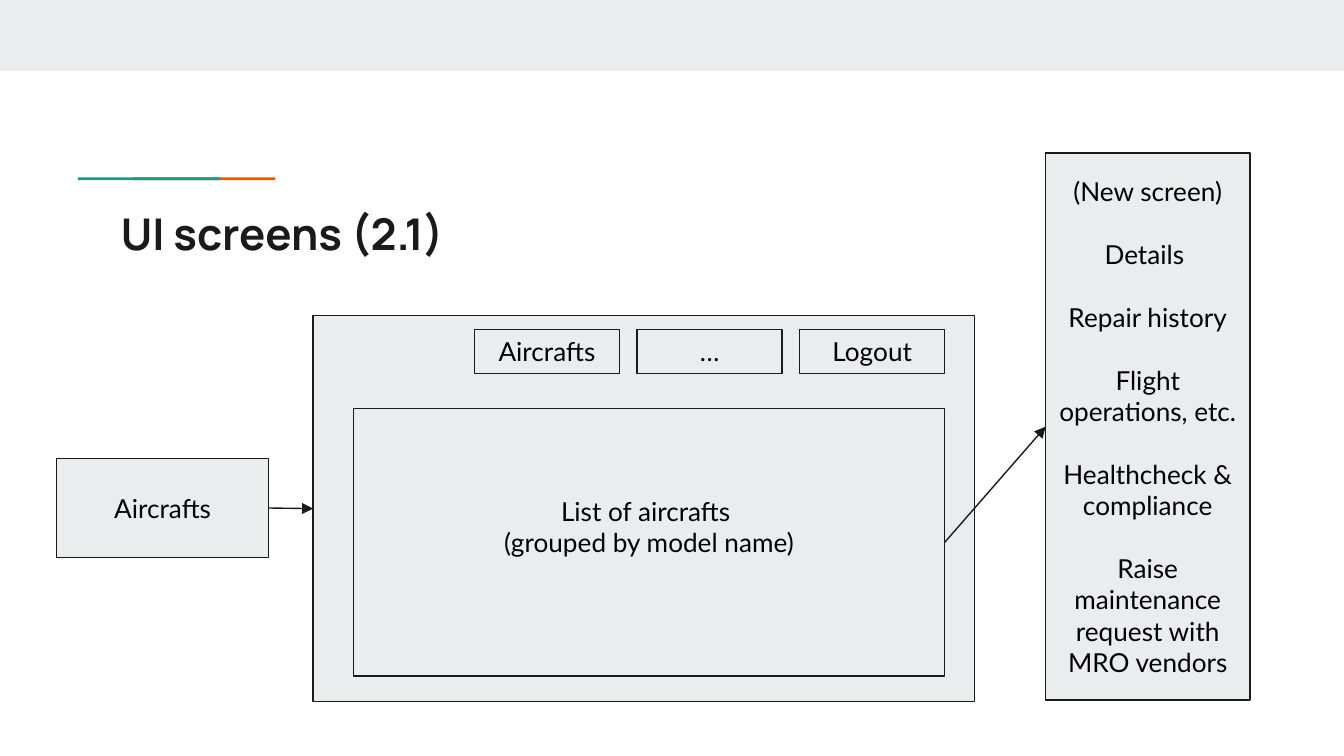
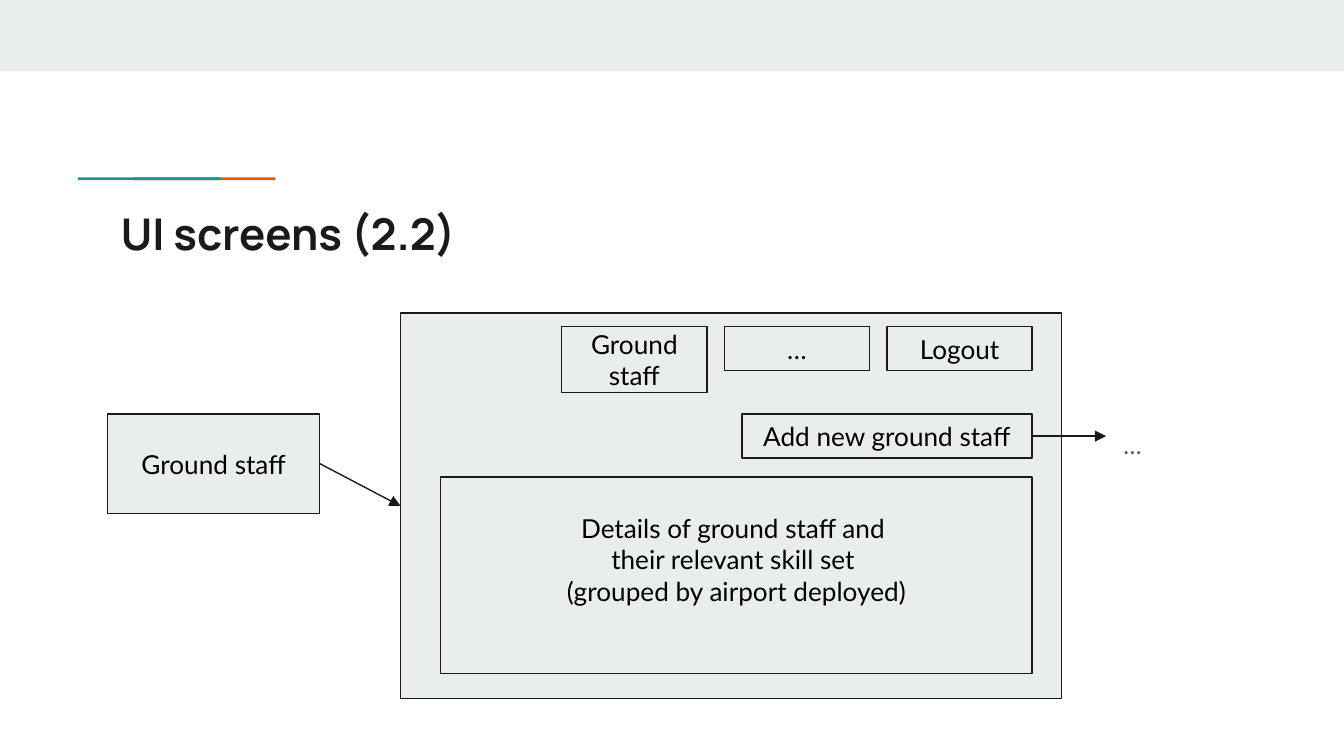
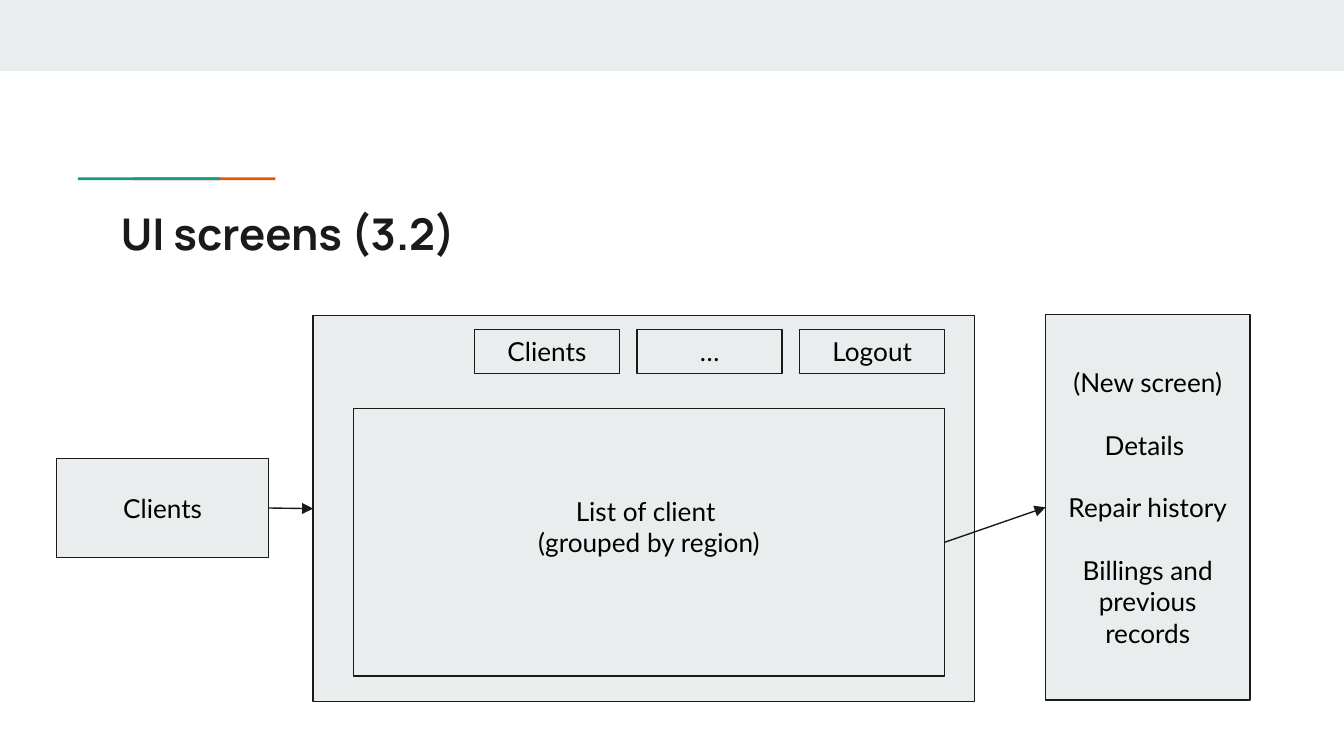
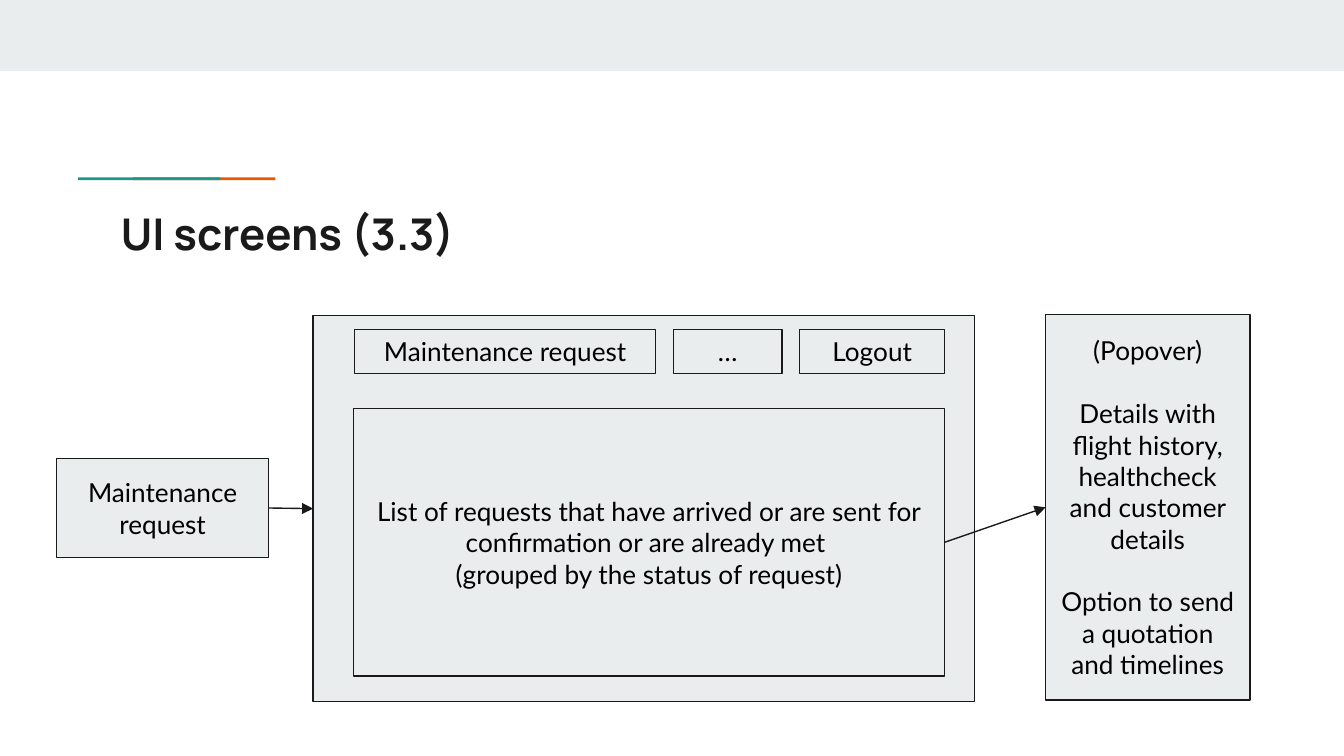
from lxml import etree
from pptx import Presentation
from pptx.dml.color import RGBColor
from pptx.enum.shapes import MSO_CONNECTOR, MSO_SHAPE
from pptx.enum.text import MSO_ANCHOR, MSO_AUTO_SIZE, PP_ALIGN
from pptx.oxml.ns import qn
from pptx.util import Inches, Pt

RECT = MSO_SHAPE.RECTANGLE
STRAIGHT = MSO_CONNECTOR.STRAIGHT
TOP, MIDDLE = MSO_ANCHOR.TOP, MSO_ANCHOR.MIDDLE
LEFT, CENTER = PP_ALIGN.LEFT, PP_ALIGN.CENTER
FIXED = MSO_AUTO_SIZE.NONE

COLORS = {"pale": "E9EDEE", "ink": "1A1A1A", "text": "000000",
          "gray": "595959", "teal": "1A9988", "orange": "EB5600"}
HEAD_FONT, BODY_FONT = "Manrope", "Lato"
LINE = 16.8
PAD = 0.1
LEFT_SITE, RIGHT_SITE = 1, 3

ENTRY = (0.42, 3.41, 1.58, 0.74)
FRAME = (2.33, 2.35, 4.92, 2.87)
PANEL = (7.78, 2.34, 1.52, 2.87)

FLOWS = [
    {"title": "UI screens (2.1)", "entry": "Aircrafts",
     "list": ["List of aircrafts ", "(grouped by model name)"], "lift": 1,
     "panel": (7.78, 1.14, 1.52, 4.07),
     "notes": ["(New screen)", "Details ", "Repair history",
               "Flight operations, etc.", "Healthcheck & compliance",
               "Raise maintenance request with MRO vendors"]},
    {"title": "UI screens (2.2)", "entry": "Ground staff",
     "at": (0.8, 3.08, 1.58, 0.74), "frame": (2.98, 2.33, 4.92, 2.87),
     "tab_high": 0.49, "list_high": 1.46, "lift": 1,
     "list": ["Details of ground staff and ", "their relevant skill set ",
              "(grouped by airport deployed)"],
     "add": "Add new ground staff"},
    {"title": "UI screens (3.2)", "entry": "Clients",
     "list": ["List of client ", "(grouped by region)"], "lift": 1,
     "notes": ["(New screen)", "Details ", "Repair history",
               "Billings and previous records"]},
    {"title": "UI screens (3.3)", "entry": "Maintenance request",
     "tabs": (2.24, 0.81, 1.08),
     "list": ["List of requests that have arrived or are sent for "
              "confirmation or are already met ",
              "(grouped by the status of request)"],
     "notes": ["(Popover)",
               "Details with flight history, healthcheck and customer details",
               "Option to send a quotation and timelines"]},
]


def tint(name):
    """Return a named colour."""
    return RGBColor.from_string(COLORS[name])


def write(frame, lines, size=14, font=BODY_FONT, color="text", bold=False,
          align=CENTER, anchor=MIDDLE, gap=0, lift=0):
    """Fill a text frame; gap parts paragraphs and lift raises them, in lines."""
    frame.word_wrap = True
    frame.auto_size = FIXED
    frame.vertical_anchor = anchor
    frame.margin_left = frame.margin_right = frame.margin_top = Inches(PAD)
    frame.margin_bottom = Inches(PAD) + Pt(LINE * lift)
    for i, line in enumerate(lines):
        para = frame.add_paragraph() if i else frame.paragraphs[0]
        para.alignment = align
        if i and gap:
            para.space_before = Pt(LINE * gap)
        run = para.add_run()
        run.text = line
        run.font.size, run.font.name, run.font.bold = Pt(size), font, bold
        run.font.color.rgb = tint(color)


def block(slide, box, fill="pale", edge=None):
    """Add a plain filled rectangle."""
    shape = slide.shapes.add_shape(RECT, *map(Inches, box))
    shape.shadow.inherit = False
    shape.fill.solid()
    shape.fill.fore_color.rgb = tint(fill)
    if edge:
        shape.line.color.rgb = tint(edge)
        shape.line.width = Pt(0.75)
    else:
        shape.line.fill.background()
    return shape


def card(slide, box, lines=(), **style):
    """Add an outlined box with centred text."""
    shape = block(slide, box, edge="ink")
    if lines:
        write(shape.text_frame, lines, **style)
    return shape


def arrow(slide, start, end=None, reach=0):
    """Join two boxes side to side, or point right by a given reach."""
    x, y = start.left + start.width, start.top + start.height // 2
    link = slide.shapes.add_connector(STRAIGHT, x, y, x + Inches(reach), y)
    link.begin_connect(start, RIGHT_SITE)
    if end is not None:
        link.end_connect(end, LEFT_SITE)
    link.line.color.rgb = tint("ink")
    link.line.width = Pt(0.75)
    props = link._element.spPr
    etree.SubElement(props.find(qn("a:ln")), qn("a:tailEnd"), type="triangle")
    etree.SubElement(props, qn("a:effectLst"))


def dress(layout, slide):
    """Set the band, accent bars and title place on the shared layout."""
    parts = [block(slide, (0, 0, 10, 0.53)),
             block(slide, (0.99, 1.32, 1.06, 0.02), "orange"),
             block(slide, (0.58, 1.32, 1.06, 0.02), "teal")]
    for i, part in enumerate(parts):
        layout.shapes._spTree.insert(2 + i, part._element)
    for holder in list(layout.placeholders)[1:]:
        holder._element.getparent().remove(holder._element)
    title = layout.placeholders[0]
    title.left, title.top, title.width, title.height = map(
        Inches, (0.8, 1.44, 8.41, 0.59))


def screen(slide, box, flow):
    """Draw the app window; return its frame, list and add button."""
    x, y, wide, high = box
    frame = card(slide, box)
    right = x + wide - 0.22
    widths = flow.get("tabs", (1.08,) * 3)
    names = (flow["entry"], "…", "Logout")
    highs = (flow.get("tab_high", 0.33), 0.33, 0.33)
    for i, name in enumerate(names):
        left = right - sum(widths[i:]) - 0.13 * (2 - i)
        card(slide, (left, y + 0.1, widths[i], highs[i]), [name])
    tall = flow.get("list_high", 1.99)
    table = card(slide, (x + 0.3, y + high - 0.19 - tall, 4.4, tall),
                 flow["list"], lift=flow.get("lift", 0))
    button = None
    if "add" in flow:
        button = card(slide, (right - 2.16, y + 0.75, 2.16, 0.33), [flow["add"]])
    return frame, table, button


def page(slide, flow):
    """Build one slide: entry box, app window and what it opens."""
    write(slide.shapes.title.text_frame, [flow["title"]], 23.4, HEAD_FONT,
          "ink", True, LEFT, TOP)
    entry = card(slide, flow.get("at", ENTRY), [flow["entry"]])
    frame, table, button = screen(slide, flow.get("frame", FRAME), flow)
    arrow(slide, entry, frame)
    if "notes" in flow:
        panel = card(slide, flow.get("panel", PANEL), flow["notes"], gap=1)
        arrow(slide, table, panel)
    if button is not None:
        arrow(slide, button, reach=0.55)
        more = slide.shapes.add_textbox(*map(Inches, (8.26, 3.1, 1.08, 0.33)))
        write(more.text_frame, ["…"], 13, color="gray", align=LEFT, anchor=TOP)


def main():
    """Build the deck on wide 16:9 slides."""
    deck = Presentation()
    deck.slide_width = Inches(10)
    deck.slide_height = deck.slide_width * 9 // 16
    layout = deck.slide_layouts[5]
    for i, flow in enumerate(FLOWS):
        slide = deck.slides.add_slide(layout)
        if i == 0:
            dress(layout, slide)
        page(slide, flow)
    deck.save("out.pptx")


if __name__ == "__main__":
    main()
